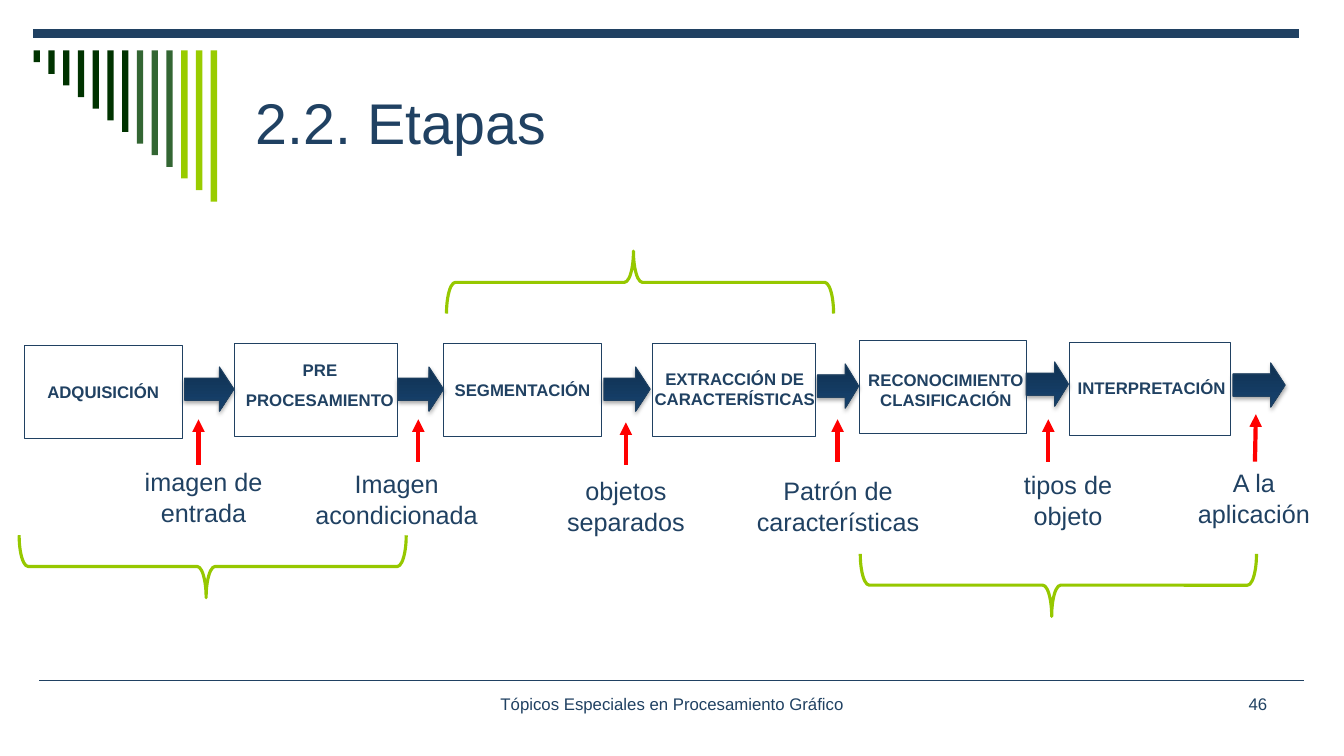
import pptx
import pptx.util
import pptx.dml.color
import pptx.enum.shapes
import pptx.enum.text
import pptx.oxml
import pptx.oxml.ns

Pt = pptx.util.Pt
SHAPE = pptx.enum.shapes.MSO_SHAPE
ALIGN = pptx.enum.text.PP_ALIGN
ANCHOR = pptx.enum.text.MSO_ANCHOR

COLOURS = {
    "navy": "204162", "arrow_dark": "103151", "arrow_light": "153F69",
    "arrow_edge": "1E4061", "red": "FF0000", "brace": "96C800",
    "forest": "003300", "moss": "336633", "lime": "99CC00",
}
FONT = "Arial"

TITLE = "2.2. Etapas"
FOOTER = "Tópicos Especiales en Procesamiento Gráfico"
PAGE_NUMBER = "46"

# box and name: left, top, width; flow: left, top, width
# pointer: start x, start y, end x, end y; label: left, top, width
STAGES = [
    {"lines": ["ADQUISICIÓN"], "box": (17.3, 247, 113),
     "name": (17.3, 269.3, 113), "flow": (131.8, 262.1, 35.3),
     "pointer": (141.8, 331.9, 141.8, 299.5),
     "output": "imagen de entrada", "label": (91.4, 329.8, 108)},
    {"lines": ["PRE", "PROCESAMIENTO"], "box": (167.8, 245.5, 115.9),
     "name": (167, 253.4, 123.1), "flow": (284.4, 262.1, 32.4),
     "pointer": (298.8, 329.8, 298.8, 299.5),
     "output": "Imagen acondicionada", "label": (205.2, 331.2, 156.2)},
    {"lines": ["SEGMENTACIÓN"], "box": (316.8, 245.5, 113),
     "name": (316.8, 267.8, 113), "flow": (431.3, 262.1, 33.1),
     "pointer": (447.1, 331.9, 447.1, 301.7),
     "output": "objetos separados", "label": (393.1, 336.2, 108)},
    {"lines": ["EXTRACCIÓN DE CARACTERÍSTICAS"], "box": (465.8, 245.5, 116.6),
     "name": (460.1, 259.9, 129.6), "flow": (583.9, 259.9, 29.5),
     "pointer": (598.3, 329.8, 598.3, 299.5),
     "output": "Patrón de características", "label": (519.8, 336.2, 157.7)},
    {"lines": ["RECONOCIMIENTO CLASIFICACIÓN"], "box": (614.2, 243.4, 118.8),
     "name": (612.7, 260.6, 126), "flow": (733, 258.5, 30.2),
     "pointer": (748.8, 329.8, 748.8, 299.5),
     "output": "tipos de objeto", "label": (698.4, 331.9, 128.9)},
    {"lines": ["INTERPRETACIÓN"], "box": (763.9, 244.8, 115.2),
     "name": (761.8, 266.4, 121.7), "flow": (880.6, 259.2, 37.4),
     "pointer": (896.4, 329.8, 897.1, 295.9),
     "output": "A la aplicación", "label": (843.1, 330.5, 105.1)},
]
BOX_HEIGHT = 66.2
FLOW_HEIGHT = 31.7
LABEL_HEIGHT = 50.4
NAME_HEIGHT = 21.6

# left, top, width, height before turning; rotation; place of the tip
BRACES = [
    (129.6, 266.4, 44.6, 276.5, 90, 0.517),
    (434.9, 63.4, 44.6, 276.5, 270, 0.483),
    (733.7, 276.5, 44.6, 283, 90, 0.517),
]

RULES = [(23.8, 23.8, 928.1, 23.8, 6), (28.1, 486, 931.7, 486, 1)]
STRIPE_COLOURS = ["forest"] * 7 + ["moss"] * 3 + ["lime"] * 3
STRIPE_LEFT, STRIPE_TOP, STRIPE_WIDTH, STRIPE_PITCH = 24, 36, 4.6, 10.54
STRIPE_FIRST_HEIGHT, STRIPE_GROWTH = 8.5, 8.3

deck = pptx.Presentation()
deck.slide_width, deck.slide_height = Pt(960), Pt(540)
page = deck.slides.add_slide(deck.slide_layouts[6])


def rgb(name):
    return pptx.dml.color.RGBColor.from_string(COLOURS[name])


def add_shape(kind, left, top, width, height, fill=None, line=None, weight=0.75):
    shape = page.shapes.add_shape(kind, Pt(left), Pt(top), Pt(width), Pt(height))
    shape.shadow.inherit = False
    if fill:
        shape.fill.solid()
        shape.fill.fore_color.rgb = rgb(fill)
    else:
        shape.fill.background()
    if line:
        shape.line.color.rgb = rgb(line)
        shape.line.width = Pt(weight)
    else:
        shape.line.fill.background()
    return shape


def add_text(lines, left, top, width, height, size, align=ALIGN.CENTER,
             bold=False, anchor=ANCHOR.TOP):
    frame = page.shapes.add_textbox(Pt(left), Pt(top), Pt(width), Pt(height)).text_frame
    frame.word_wrap = True
    frame.vertical_anchor = anchor
    for index, line in enumerate(lines):
        para = frame.add_paragraph() if index else frame.paragraphs[0]
        para.alignment = align
        if index:
            para.space_before = Pt(size * 0.58)
        span = para.add_run()
        span.text = line
        span.font.name, span.font.size, span.font.bold = FONT, Pt(size), bold
        span.font.color.rgb = rgb("navy")


def add_line(x1, y1, x2, y2, colour, weight, arrowhead=False):
    line = page.shapes.add_connector(
        pptx.enum.shapes.MSO_CONNECTOR.STRAIGHT, Pt(x1), Pt(y1), Pt(x2), Pt(y2))
    line.line.color.rgb = rgb(colour)
    line.line.width = Pt(weight)
    properties = line._element.spPr
    properties.append(pptx.oxml.parse_xml(
        f"<a:effectLst {pptx.oxml.ns.nsdecls('a')}/>"))
    if arrowhead:
        line.line._get_or_add_ln().append(pptx.oxml.parse_xml(
            f"<a:tailEnd {pptx.oxml.ns.nsdecls('a')} type='triangle'/>"))


def add_flow_arrow(left, top, width):
    """Block arrow pointing right, with a gradient and a soft shadow."""
    arrow = add_shape(SHAPE.LEFT_ARROW, left, top, width, FLOW_HEIGHT, line="arrow_edge")
    arrow.rotation = 180
    arrow.adjustments[0], arrow.adjustments[1] = 0.5, 0.328
    arrow.fill.gradient()
    arrow.fill.gradient_angle = 90
    start, end = arrow.fill.gradient_stops
    start.color.rgb, start.position = rgb("arrow_dark"), 0
    end.color.rgb, end.position = rgb("arrow_light"), 0.8
    effects = arrow._element.spPr.find(pptx.oxml.ns.qn("a:effectLst"))
    effects.append(pptx.oxml.parse_xml(
        f"<a:outerShdw {pptx.oxml.ns.nsdecls('a')} blurRad='{Pt(3.1)}' "
        f"dist='{Pt(1.8)}' dir='5400000' rotWithShape='0'>"
        "<a:srgbClr val='000000'><a:alpha val='35000'/></a:srgbClr></a:outerShdw>"))


for *ends, weight in RULES:
    add_line(*ends, "navy", weight)
for index, colour in enumerate(STRIPE_COLOURS):
    add_shape(SHAPE.RECTANGLE, STRIPE_LEFT + index * STRIPE_PITCH, STRIPE_TOP,
              STRIPE_WIDTH, STRIPE_FIRST_HEIGHT + index * STRIPE_GROWTH, fill=colour)

add_text([TITLE], 175.7, 36, 735.8, 102.2, 41, ALIGN.LEFT, anchor=ANCHOR.MIDDLE)
add_text([FOOTER], 328.3, 491.8, 303.8, 36, 12)
add_text([PAGE_NUMBER], 688.3, 491.8, 223.9, 36, 12, ALIGN.RIGHT)

for stage in STAGES:
    add_flow_arrow(*stage["flow"])
    add_text([stage["output"]], *stage["label"], LABEL_HEIGHT, 18)
    add_line(*stage["pointer"], "red", 3, arrowhead=True)
    add_shape(SHAPE.RECTANGLE, *stage["box"], BOX_HEIGHT, line="navy")
    add_text(stage["lines"], *stage["name"], NAME_HEIGHT, 12, bold=True)

for *frame, rotation, tip in BRACES:
    brace = add_shape(SHAPE.RIGHT_BRACE, *frame, line="brace", weight=2.25)
    brace.rotation = rotation
    brace.adjustments[0], brace.adjustments[1] = 0.143, tip

deck.save("out.pptx")
